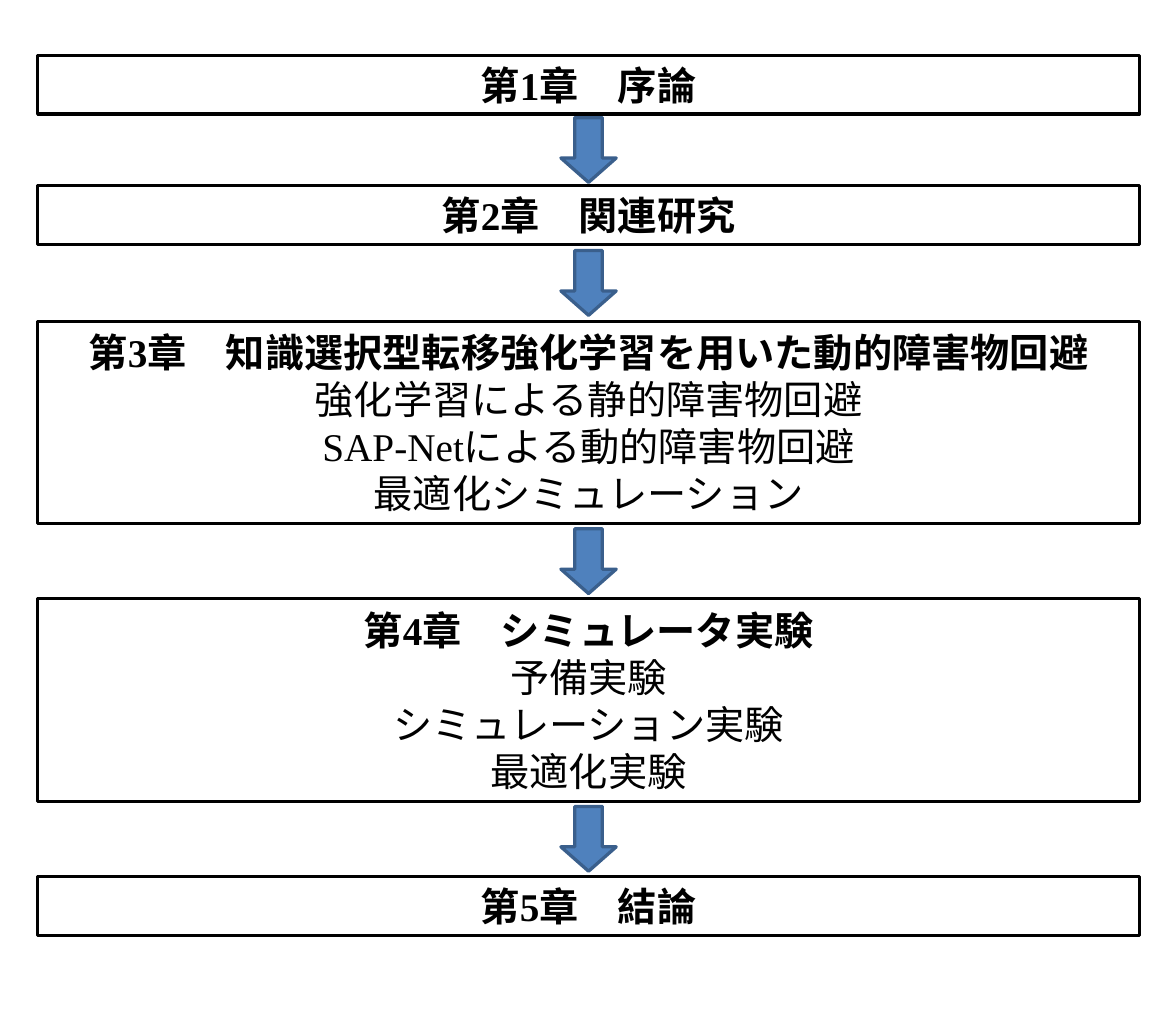
from pptx import Presentation
from pptx.dml.color import RGBColor
from pptx.enum.shapes import MSO_SHAPE
from pptx.enum.text import MSO_ANCHOR, MSO_AUTO_SIZE, PP_ALIGN
from pptx.util import Inches, Pt

RECTANGLE = MSO_SHAPE.RECTANGLE
DOWN_ARROW = MSO_SHAPE.DOWN_ARROW
CENTER = PP_ALIGN.CENTER
MIDDLE = MSO_ANCHOR.MIDDLE
FIT_SHAPE = MSO_AUTO_SIZE.SHAPE_TO_FIT_TEXT

COLORS = {
    "box": "FFFFFF",
    "ink": "000000",
    "arrow": "4F81BD",
    "arrow_line": "3A5F8C",
}
FONT = "Times New Roman"
SLIDE_WIDTH = 10
SLIDE_HEIGHT = 22 / 2.54  # 22 cm
BOX_LEFT, BOX_WIDTH = 0.32, 9.37
ARROW_WIDTH, ARROW_HEIGHT = 0.47, 0.55

# Top, height, paragraphs (the first is the heading; \v breaks a line)
CHAPTERS = [
    (0.47, 0.5, ["第1章　序論"]),
    (1.58, 0.5, ["第2章　関連研究"]),
    (2.73, 1.72, ["第3章　知識選択型転移強化学習を用いた動的障害物回避",
                  "強化学習による静的障害物回避",
                  "SAP-Netによる動的障害物回避\v最適化シミュレーション"]),
    (5.09, 1.72, ["第4章　シミュレータ実験",
                  "予備実験",
                  "シミュレーション実験\v最適化実験"]),
    (7.45, 0.5, ["第5章　結論"]),
]


def color(name):
    return RGBColor.from_string(COLORS[name])


def add_outlined_shape(slide, kind, left, top, width, height, fill, line):
    shape = slide.shapes.add_shape(
        kind, Inches(left), Inches(top), Inches(width), Inches(height))
    shape.shadow.inherit = False
    shape.fill.solid()
    shape.fill.fore_color.rgb = color(fill)
    shape.line.color.rgb = color(line)
    shape.line.width = Pt(2)
    return shape


def add_chapter(slide, top, height, texts):
    box = add_outlined_shape(slide, RECTANGLE, BOX_LEFT, top, BOX_WIDTH, height,
                             "box", "ink")
    frame = box.text_frame
    frame.word_wrap = True
    frame.auto_size = FIT_SHAPE
    frame.vertical_anchor = MIDDLE
    frame.text = "\n".join(texts)
    for index, paragraph in enumerate(frame.paragraphs):
        paragraph.alignment = CENTER
        for run in paragraph.runs:
            run.font.name = FONT
            run.font.size = Pt(24)
            run.font.bold = index == 0
            run.font.color.rgb = color("ink")


def add_arrow(slide, upper_bottom, lower_top):
    """Centre a down arrow in the gap between two chapters."""
    top = (upper_bottom + lower_top - ARROW_HEIGHT) / 2
    left = BOX_LEFT + (BOX_WIDTH - ARROW_WIDTH) / 2
    arrow = add_outlined_shape(slide, DOWN_ARROW, left, top, ARROW_WIDTH,
                               ARROW_HEIGHT, "arrow", "arrow_line")
    arrow.adjustments[0] = 0.5
    arrow.adjustments[1] = 0.44


def main():
    presentation = Presentation()
    presentation.slide_width = Inches(SLIDE_WIDTH)
    presentation.slide_height = Inches(SLIDE_HEIGHT)
    slide = presentation.slides.add_slide(presentation.slide_layouts[6])
    for top, height, texts in CHAPTERS:
        add_chapter(slide, top, height, texts)
    for (top, height, _), (next_top, _, _) in zip(CHAPTERS, CHAPTERS[1:]):
        add_arrow(slide, top + height, next_top)
    presentation.save("out.pptx")


if __name__ == "__main__":
    main()
